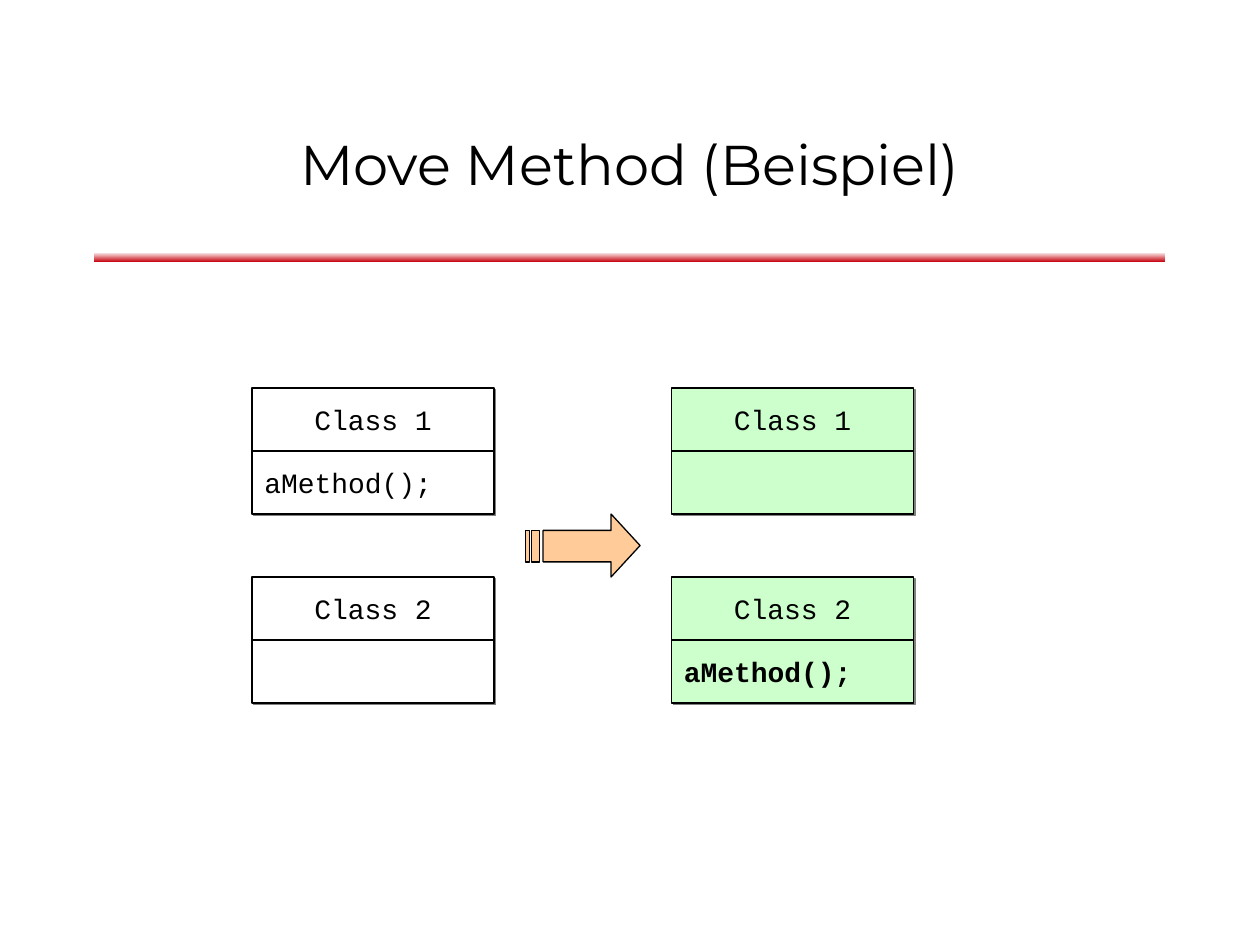
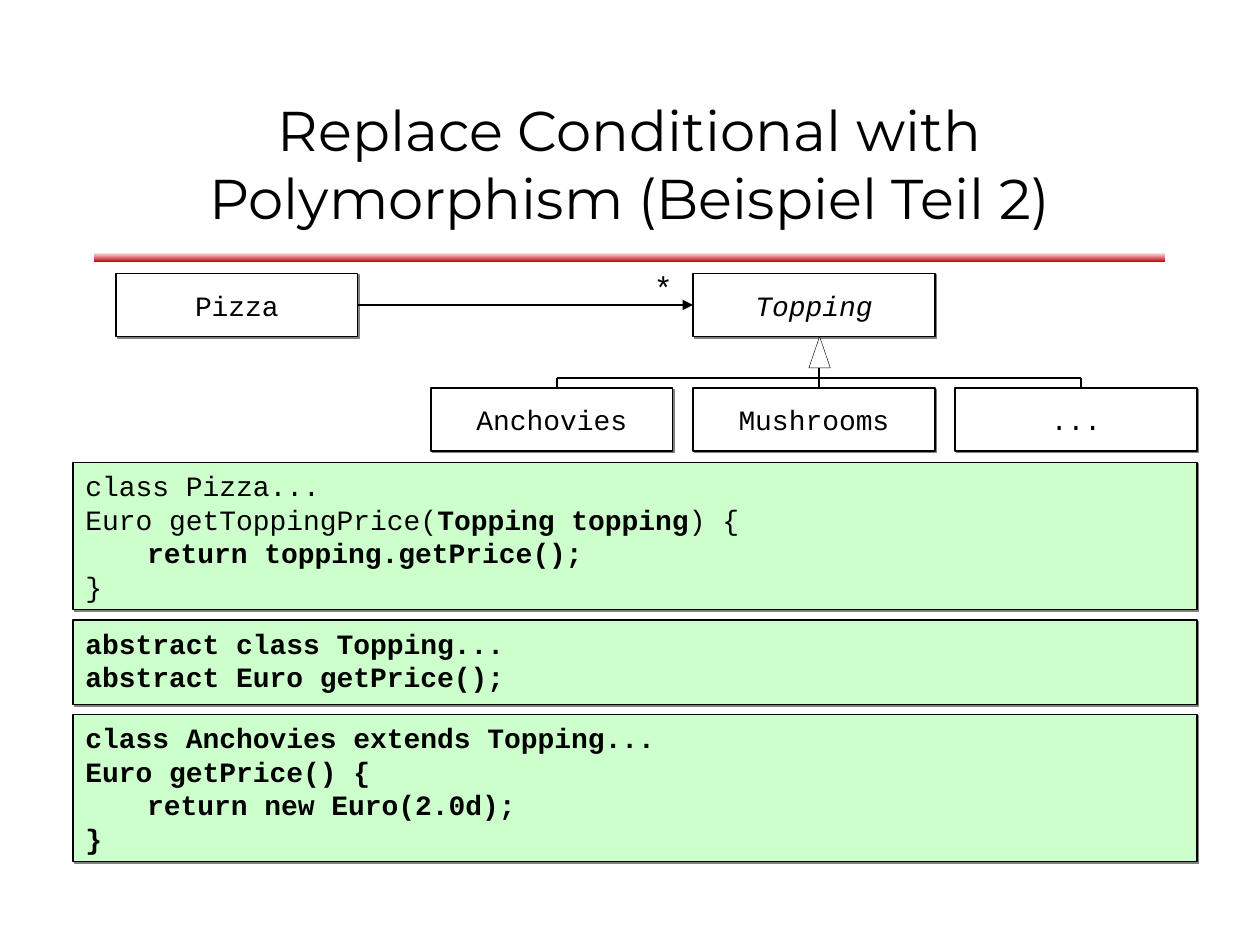
from lxml.etree import SubElement
from pptx import Presentation
from pptx.dml.color import RGBColor
from pptx.enum.shapes import MSO_CONNECTOR as Connector, MSO_SHAPE as Shape
from pptx.enum.text import MSO_ANCHOR as Anchor, PP_ALIGN as Align
from pptx.oxml.ns import qn
from pptx.util import Inches, Pt

COLORS = {
    "ink": "000000",
    "paper": "FFFFFF",
    "mint": "CCFFCC",
    "peach": "FFCC99",
    "red": "C5000B",
    "shadow": "808080",
}
TITLE_FONT = "Montserrat"
CODE_FONT = "Courier New"
CLASS_WIDTH, CLASS_HEIGHT = 1.92, 0.5
INDENT = 0.49


def color(name):
    return RGBColor.from_string(COLORS[name])


class SlideBuilder:
    def __init__(self, deck):
        self.deck = deck
        self.slide = None

    def new_slide(self, title):
        self.slide = self.deck.slides.add_slide(self.deck.slide_layouts[6])
        band = self.shape(Shape.RECTANGLE, 0.75, 2, 8.5, 0.08, "red")
        band.line.fill.background()
        band.fill.gradient()
        band.fill.gradient_angle = 90
        for stop, name in zip(band.fill.gradient_stops, ("red", "paper")):
            stop.color.rgb = color(name)
        self.label(title, 0.75, 0.67, 8.5, 1.25, TITLE_FONT, 32, Align.CENTER, Anchor.MIDDLE)

    def paint(self, shape, fill, weight=0.75):
        shape.shadow.inherit = False
        shape.fill.solid()
        shape.fill.fore_color.rgb = color(fill)
        shape.line.color.rgb = color("ink")
        shape.line.width = Pt(weight)

    def shape(self, kind, left, top, width, height, fill, weight=0.75):
        shape = self.slide.shapes.add_shape(
            kind, Inches(left), Inches(top), Inches(width), Inches(height))
        self.paint(shape, fill, weight)
        return shape

    def panel(self, left, top, width, height, fill):
        box = self.shape(Shape.RECTANGLE, left, top, width, height, fill)
        effects = box._element.spPr.find(qn("a:effectLst"))
        shadow = SubElement(effects, qn("a:outerShdw"), dist=str(Pt(1.4)), dir="2700000",
                            algn="tl", rotWithShape="0")
        SubElement(shadow, qn("a:srgbClr"), val=COLORS["shadow"])
        return box

    def span(self, para, text, font=CODE_FONT, size=16, bold=False, italic=False):
        span = para.add_run()
        span.text = text
        span.font.name = font
        span.font.size = Pt(size)
        span.font.bold = bold
        span.font.italic = italic
        span.font.color.rgb = color("ink")

    def label(self, text, left, top, width, height, font, size,
              align=Align.LEFT, anchor=Anchor.TOP):
        box = self.slide.shapes.add_textbox(
            Inches(left), Inches(top), Inches(width), Inches(height))
        frame = box.text_frame
        frame.word_wrap = True
        frame.vertical_anchor = anchor
        para = frame.paragraphs[0]
        para.alignment = align
        self.span(para, text, font, size)

    def class_box(self, left, top, text="", fill="paper", align=Align.CENTER, **style):
        box = self.panel(left, top, CLASS_WIDTH, CLASS_HEIGHT, fill)
        box.text_frame.vertical_anchor = Anchor.MIDDLE
        para = box.text_frame.paragraphs[0]
        para.alignment = align
        if text:
            self.span(para, text, **style)
        return box

    def class_card(self, left, top, name, method, fill, bold):
        self.class_box(left, top, name, fill)
        self.class_box(left, top + CLASS_HEIGHT, method, fill, Align.LEFT, bold=bold)

    def code_panel(self, top, height, lines):
        frame = self.panel(0.58, top, 8.92, height, "mint").text_frame
        frame.vertical_anchor = Anchor.TOP
        for number, (indent, spans) in enumerate(lines):
            para = frame.add_paragraph() if number else frame.paragraphs[0]
            para.alignment = Align.LEFT
            para._p.get_or_add_pPr().set("marL", str(Inches(indent * INDENT)))
            for text, bold in spans:
                self.span(para, text, bold=bold)

    def line(self, x1, y1, x2, y2):
        line = self.slide.shapes.add_connector(
            Connector.STRAIGHT, Inches(x1), Inches(y1), Inches(x2), Inches(y2))
        line.line.color.rgb = color("ink")
        line.line.width = Pt(0.75)
        SubElement(line._element.spPr, qn("a:effectLst"))
        return line

    def arrow_between(self, source, target):
        arrow = self.line(0, 0, 1, 1)
        arrow.begin_connect(source, 3)
        arrow.end_connect(target, 1)
        SubElement(arrow.line._get_or_add_ln(), qn("a:tailEnd"), type="triangle")

    def outline(self, contours, fill):
        builder = None
        for contour in contours:
            start, *rest = [(Inches(x), Inches(y)) for x, y in contour]
            if builder is None:
                builder = self.slide.shapes.build_freeform(*start)
            else:
                builder.move_to(*start)
            builder.add_line_segments(rest, close=True)
        self.paint(builder.convert_to_shape(), fill)


def bar(left, right, top, bottom):
    return [(left, top), (right, top), (right, bottom), (left, bottom)]


def move_method(page):
    page.new_slide("Move Method (Beispiel)")
    states = [
        (2, "paper", ("aMethod();", ""), False),
        (5.33, "mint", ("", "aMethod();"), True),
    ]
    for left, fill, methods, bold in states:
        for row, method in enumerate(methods):
            page.class_card(left, 3.08 + 1.5 * row, f"Class {row + 1}", method, fill, bold)
    top, bottom = 4.21, 4.46
    arrow = [(4.31, top), (4.85, top), (4.85, 4.08), (5.08, 4.33),
             (4.85, 4.58), (4.85, bottom), (4.31, bottom)]
    page.outline([arrow, bar(4.17, 4.2, top, bottom), bar(4.22, 4.28, top, bottom)], "peach")


def replace_conditional(page):
    page.new_slide("Replace Conditional with Polymorphism (Beispiel Teil 2)")
    pizza = page.class_box(0.92, 2.17, "Pizza")
    topping = page.class_box(5.5, 2.17, "Topping", italic=True)
    page.arrow_between(pizza, topping)
    page.label("*", 5.09, 2.08, 0.35, 0.4, CODE_FONT, 18)

    bus = 3
    for column, name in enumerate(("Anchovies", "Mushrooms", "...")):
        offset = 2.08 * column
        page.class_box(3.42 + offset, 3.08, name)
        page.line(4.42 + offset, 3.09, 4.42 + offset, bus)
    page.line(4.42, bus, 8.58, bus)
    page.line(6.5, 2.92, 6.5, bus)
    page.shape(Shape.ISOSCELES_TRIANGLE, 6.42, 2.67, 0.17, 0.25, "paper", 0.25)

    page.code_panel(3.67, 1.17, [
        (0, [("class Pizza...", False)]),
        (0, [("Euro getToppingPrice(", False), ("Topping topping", True), (") {", False)]),
        (1, [("return topping.getPrice();", True)]),
        (0, [("}", False)]),
    ])
    page.code_panel(4.92, 0.67, [
        (0, [("abstract class Topping...", True)]),
        (0, [("abstract Euro getPrice();", True)]),
    ])
    page.code_panel(5.67, 1.17, [
        (0, [("class Anchovies extends Topping...", True)]),
        (0, [("Euro getPrice() {", True)]),
        (1, [("return new Euro(2.0d);", True)]),
        (0, [("}", True)]),
    ])


def main():
    deck = Presentation()
    deck.slide_width, deck.slide_height = Inches(10), Inches(7.5)
    page = SlideBuilder(deck)
    move_method(page)
    replace_conditional(page)
    deck.save("out.pptx")


if __name__ == "__main__":
    main()
